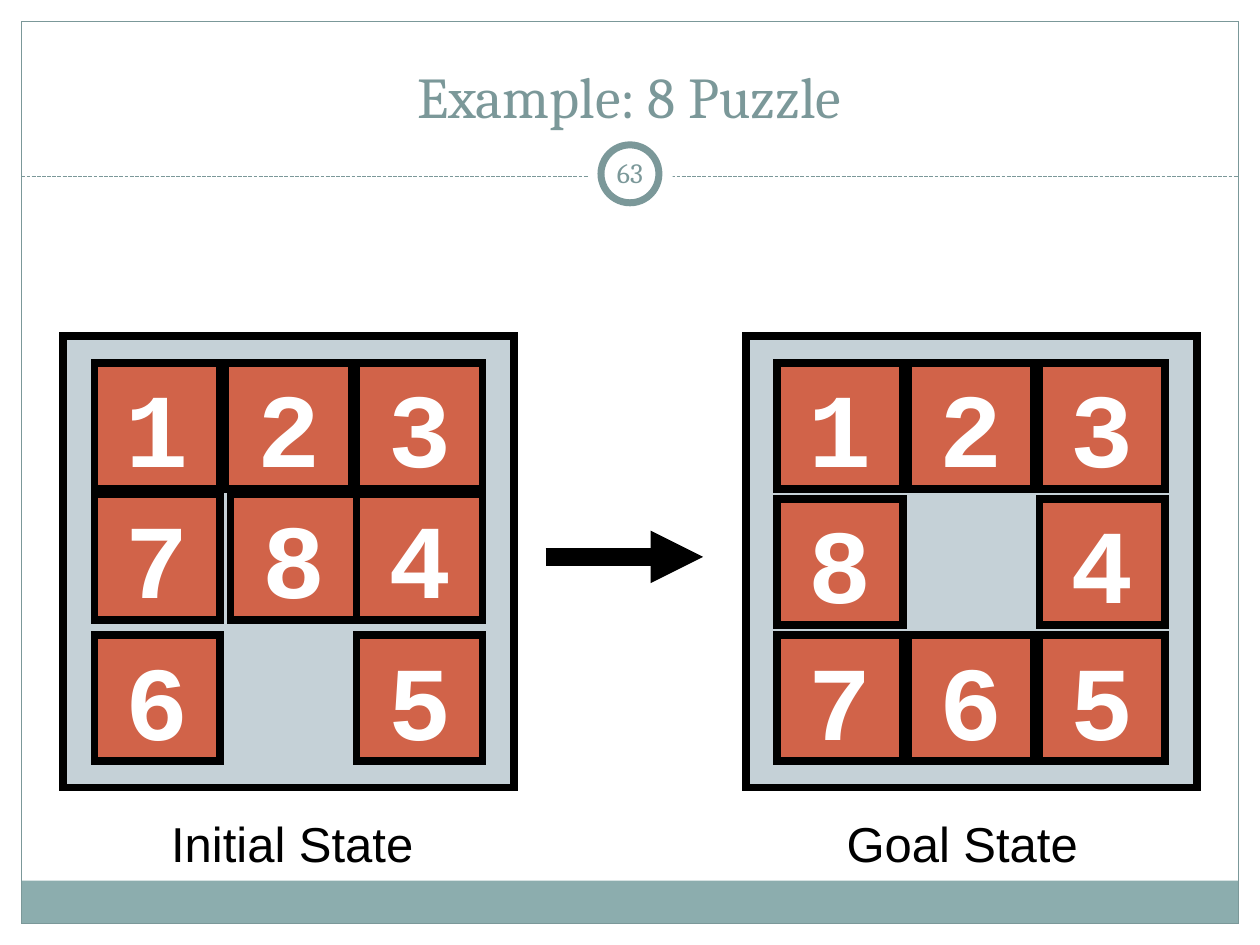
import pptx
import pptx.dml.color
import pptx.enum.dml
import pptx.enum.shapes
import pptx.enum.text
import pptx.oxml.ns
import pptx.util
from lxml import etree

Inches = pptx.util.Inches
Pt = pptx.util.Pt
SHAPE = pptx.enum.shapes.MSO_SHAPE
ALIGN = pptx.enum.text.PP_ALIGN
ANCHOR = pptx.enum.text.MSO_ANCHOR
FIT = pptx.enum.text.MSO_AUTO_SIZE

COLORS = {
    "white": "FFFFFF", "black": "000000", "teal": "7B9899",
    "band": "8CADAE", "board": "C5D1D7", "tile": "D16349",
}
HEADING = {"name": "Cambria", "size": Pt(33), "bold": False}
NUMBER = {"name": "Cambria", "size": Pt(16)}
DIGIT = {"name": "Courier New", "size": Pt(60), "bold": True}
CAPTION = {"name": "Arial", "size": Pt(28)}

TILE_SIZE = 1
TILE_PITCH = 1.04
TILE_INSET = 0.25


def color(name):
    return pptx.dml.color.RGBColor.from_string(COLORS[name])


def inches(*values):
    return [Inches(value) for value in values]


def add_line_part(item, tag, **values):
    etree.SubElement(item.line._get_or_add_ln(), pptx.oxml.ns.qn(tag), **values)


def add_shape(page, kind, box, fill=None, line=None, width=0.75):
    shape = page.shapes.add_shape(kind, *inches(*box))
    shape.shadow.inherit = False
    if fill:
        shape.fill.solid()
        shape.fill.fore_color.rgb = color(fill)
    else:
        shape.fill.background()
    if line:
        shape.line.color.rgb = color(line)
        shape.line.width = Pt(width)
        add_line_part(shape, "a:miter", lim="800000")
    else:
        shape.line.fill.background()
    return shape


def add_line(page, start, end, line, width):
    connector = page.shapes.add_connector(
        pptx.enum.shapes.MSO_CONNECTOR.STRAIGHT, *inches(*start, *end))
    connector.line.color.rgb = color(line)
    connector.line.width = Pt(width)
    etree.SubElement(connector._element.spPr, pptx.oxml.ns.qn("a:effectLst"))
    return connector


def write(shape, words, font, ink, align=ALIGN.CENTER, anchor=ANCHOR.MIDDLE,
          wrap=True, margins=(0.1, 0.05), fit=FIT.NONE):
    side, end = inches(*margins)
    frame_format = {
        "word_wrap": wrap, "vertical_anchor": anchor, "auto_size": fit,
        "margin_left": side, "margin_right": side,
        "margin_top": end, "margin_bottom": end,
    }
    for name, value in frame_format.items():
        setattr(shape.text_frame, name, value)
    para = shape.text_frame.paragraphs[0]
    para.alignment = align
    span = para.add_run()
    span.text = words
    for name, value in font.items():
        setattr(span.font, name, value)
    span.font.color.rgb = color(ink)


def add_frame(page, box):
    """Footer band, page border and dashed rule with the number badge."""
    left, top, width, height = box
    right = left + width
    add_shape(page, SHAPE.RECTANGLE,
              (left, top + height - 0.34, width, 0.34), "band")
    add_shape(page, SHAPE.RECTANGLE, box, line="teal")
    rule = add_line(page, (left, 1.4), (right, 1.4), "teal", 0.75)
    rule.line.dash_style = pptx.enum.dml.MSO_LINE.SQUARE_DOT

    # White halo interrupts the rule around the ring
    add_shape(page, SHAPE.OVAL, (4.67, 1.05, 0.67, 0.67), "white")
    add_shape(page, SHAPE.OVAL, (4.77, 1.15, 0.46, 0.46), "white", "teal", 4)
    number = page.shapes.add_textbox(*inches(4.75, 1.13, 0.5, 0.48))
    write(number, "63", NUMBER, "teal", margins=(0.05, 0.05))


def add_title(page, box, words):
    title = page.shapes.title
    title.left, title.top, title.width, title.height = inches(*box)
    write(title, words, HEADING, "teal", anchor=ANCHOR.BOTTOM)


def add_puzzle(page, box, rows, row_tops, caption, caption_box, nudges=None):
    """Board of numbered tiles (a space is the gap) with its caption."""
    left, top, width, height = box
    add_shape(page, SHAPE.RECTANGLE, box, "board", "black", 4.5)
    for digits, row_top in zip(rows, row_tops):
        for column, digit in enumerate(digits):
            if digit == " ":
                continue
            tile_left = left + TILE_INSET + column * TILE_PITCH
            tile_left += (nudges or {}).get(digit, 0)
            tile = add_shape(
                page, SHAPE.RECTANGLE,
                (tile_left, top + row_top, TILE_SIZE, TILE_SIZE),
                "tile", "black", 4.5)
            write(tile, digit, DIGIT, "white", wrap=False)

    # Caption box grows with its single line of text
    offset, caption_width = caption_box
    label = page.shapes.add_textbox(
        *inches(left + offset, top + height + 0.16, caption_width, 0.57))
    write(label, caption, CAPTION, "black", ALIGN.LEFT, ANCHOR.TOP,
          wrap=False, fit=FIT.SHAPE_TO_FIT_TEXT)


def add_arrow(page, start, end):
    arrow = add_line(page, start, end, "black", 10)
    add_line_part(arrow, "a:tailEnd", type="triangle")


def main():
    deck = pptx.Presentation()
    deck.slide_width, deck.slide_height = inches(10, 7.5)
    page = deck.slides.add_slide(deck.slide_layouts[5])

    add_frame(page, (0.17, 0.17, 9.66, 7.16))
    add_title(page, (0.33, 0.25, 9.33, 0.83), "Example: 8 Puzzle")

    # Start and goal boards with the transition between them
    add_puzzle(page, (0.5, 2.67, 3.58, 3.58), ("123", "784", "6 5"),
               (0.21, 1.25, 2.37), "Initial State", (0.76, 2.12), {"8": 0.04})
    add_arrow(page, (4.33, 4.42), (5.58, 4.42))
    add_puzzle(page, (5.92, 2.67, 3.58, 3.58), ("123", "8 4", "765"),
               (0.21, 1.29, 2.37), "Goal State", (0.7, 2.05))

    deck.save("out.pptx")


if __name__ == "__main__":
    main()
